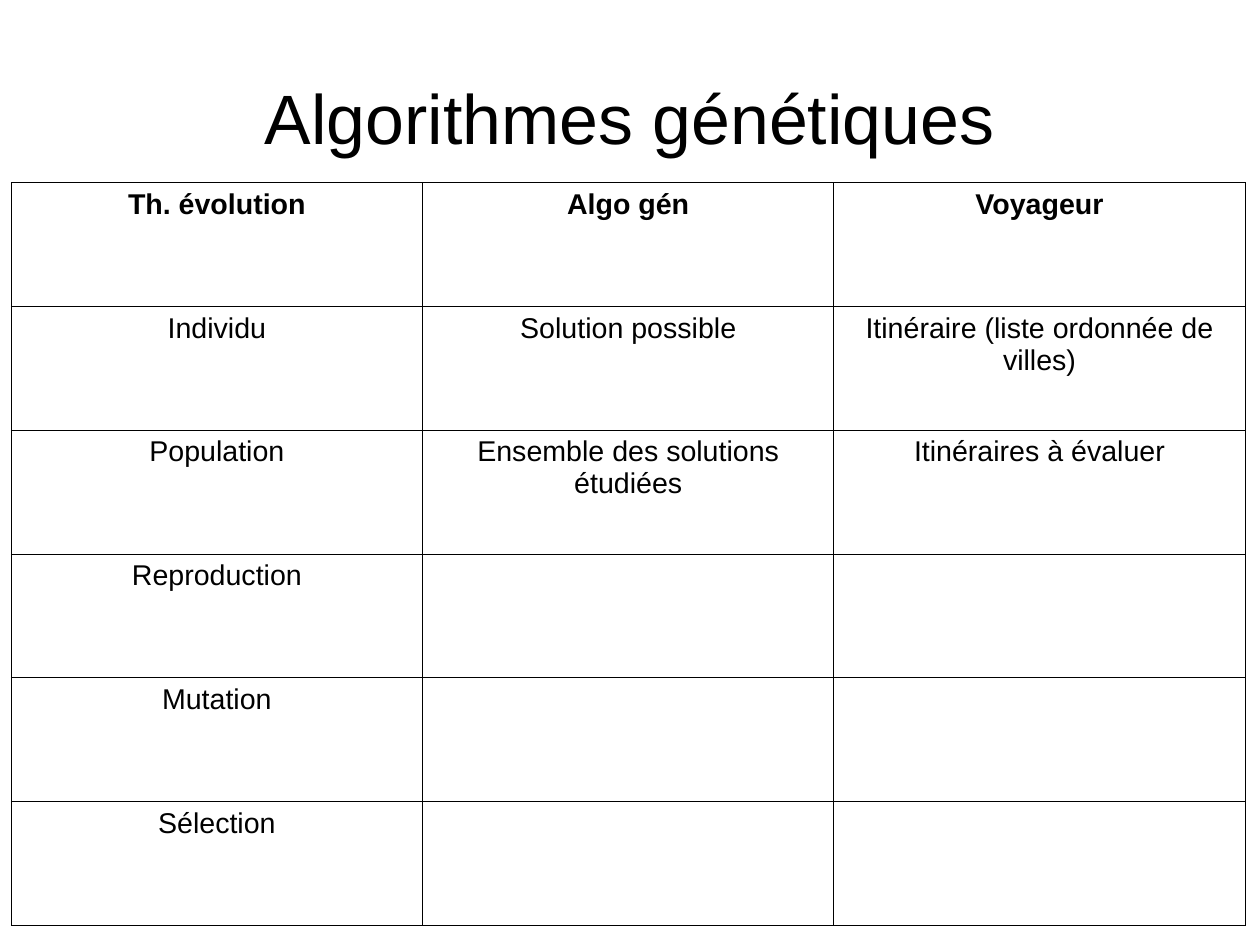
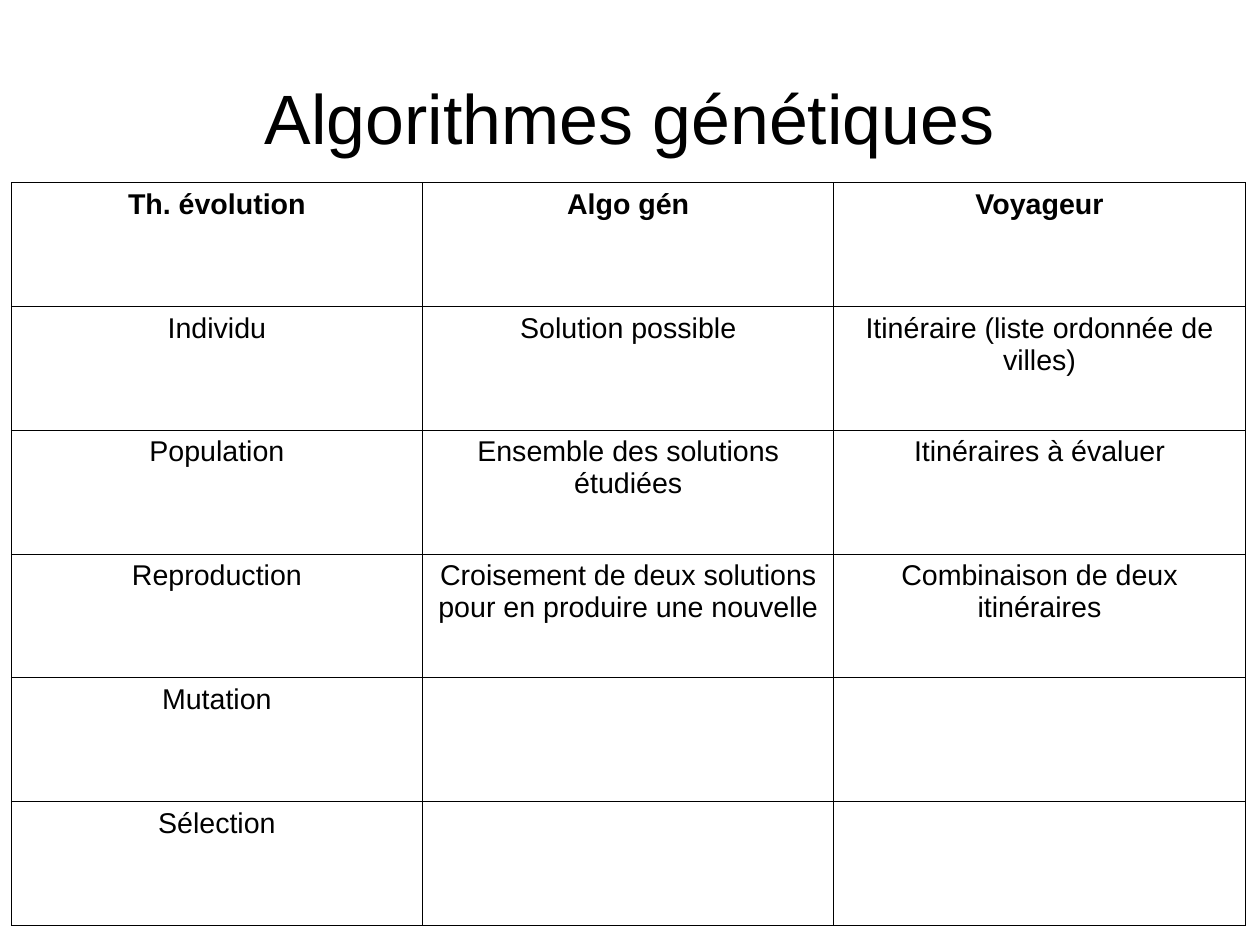
from lxml import etree
from pptx import Presentation
from pptx import util as u
from pptx.dml.color import RGBColor
from pptx.enum import text
from pptx.oxml import ns

TITLE = "Algorithmes génétiques"
HEADINGS = ["Th. évolution", "Algo gén", "Voyageur"]
CONCEPTS = ["Individu", "Population", "Reproduction", "Mutation", "Sélection"]
MEANINGS = {
    "Individu": ["Solution possible", "Itinéraire (liste ordonnée de villes)"],
    "Population": ["Ensemble des solutions étudiées", "Itinéraires à évaluer"],
    "Reproduction": ["Croisement de deux solutions pour en produire une nouvelle",
                     "Combinaison de deux itinéraires"],
}


def color(hex_code):
    return RGBColor.from_string(hex_code)


def write(frame, words, size=18, bold=False, font="Arial", ink="000000"):
    paragraph = frame.paragraphs[0]
    paragraph.alignment = text.PP_ALIGN.CENTER
    run = paragraph.add_run()
    run.text = words
    run.font.name, run.font.size, run.font.bold = font, u.Pt(size), bold
    run.font.color.rgb = color(ink)


class Deck:
    """Shared style and the current slide."""
    background, rule, rule_width = "FFFFFF", "000000", 0.57
    column_width, row_height = u.Cm(9.14), u.Cm(2.75)

    def __init__(self):
        self.prs = Presentation()
        self.prs.slide_width, self.prs.slide_height = u.Cm(28), u.Cm(21)
        fill = self.prs.slide_master.background.fill
        fill.solid()
        fill.fore_color.rgb = color(self.background)

    def new_slide(self):
        self.slide = self.prs.slides.add_slide(self.prs.slide_layouts[5])

    def title(self, words):
        title = self.slide.shapes.title
        title.left, title.top = u.Cm(1.4), u.Cm(0.84)
        title.width, title.height = u.Cm(25.2), u.Cm(3.5)
        frame = title.text_frame
        frame.margin_left = frame.margin_right = 0
        frame.margin_top = frame.margin_bottom = 0
        frame.vertical_anchor = text.MSO_ANCHOR.MIDDLE
        frame.auto_size = text.MSO_AUTO_SIZE.NONE
        frame.word_wrap = True
        write(frame, words, size=44)

    def borders(self, cell):
        # Border lines come before the fill in the cell properties
        properties = cell._tc.get_or_add_tcPr()
        for place, side in enumerate("LRTB"):
            line = etree.Element(ns.qn(f"a:ln{side}"), w=str(u.Pt(self.rule_width)))
            fill = etree.SubElement(line, ns.qn("a:solidFill"))
            etree.SubElement(fill, ns.qn("a:srgbClr"), val=self.rule)
            properties.insert(place, line)

    def table(self, rows):
        columns = len(rows[0])
        table = self.slide.shapes.add_table(
            len(rows), columns, u.Cm(0.25), u.Cm(4.06),
            self.column_width * columns, self.row_height * len(rows)).table
        table.first_row = table.horz_banding = False
        for column in table.columns:
            column.width = self.column_width
        for r, row in enumerate(rows):
            table.rows[r].height = self.row_height
            for c, words in enumerate(row):
                cell = table.cell(r, c)
                cell.fill.background()
                self.borders(cell)
                if words:
                    write(cell.text_frame, words, bold=r == 0)


def main():
    deck = Deck()
    # Each slide explains one more concept of the same table
    for explained in (2, 3):
        deck.new_slide()
        deck.title(TITLE)
        comparison = [HEADINGS]
        for i, concept in enumerate(CONCEPTS):
            meaning = MEANINGS[concept] if i < explained else ["", ""]
            comparison.append([concept] + meaning)
        deck.table(comparison)
    deck.prs.save("out.pptx")


if __name__ == "__main__":
    main()
